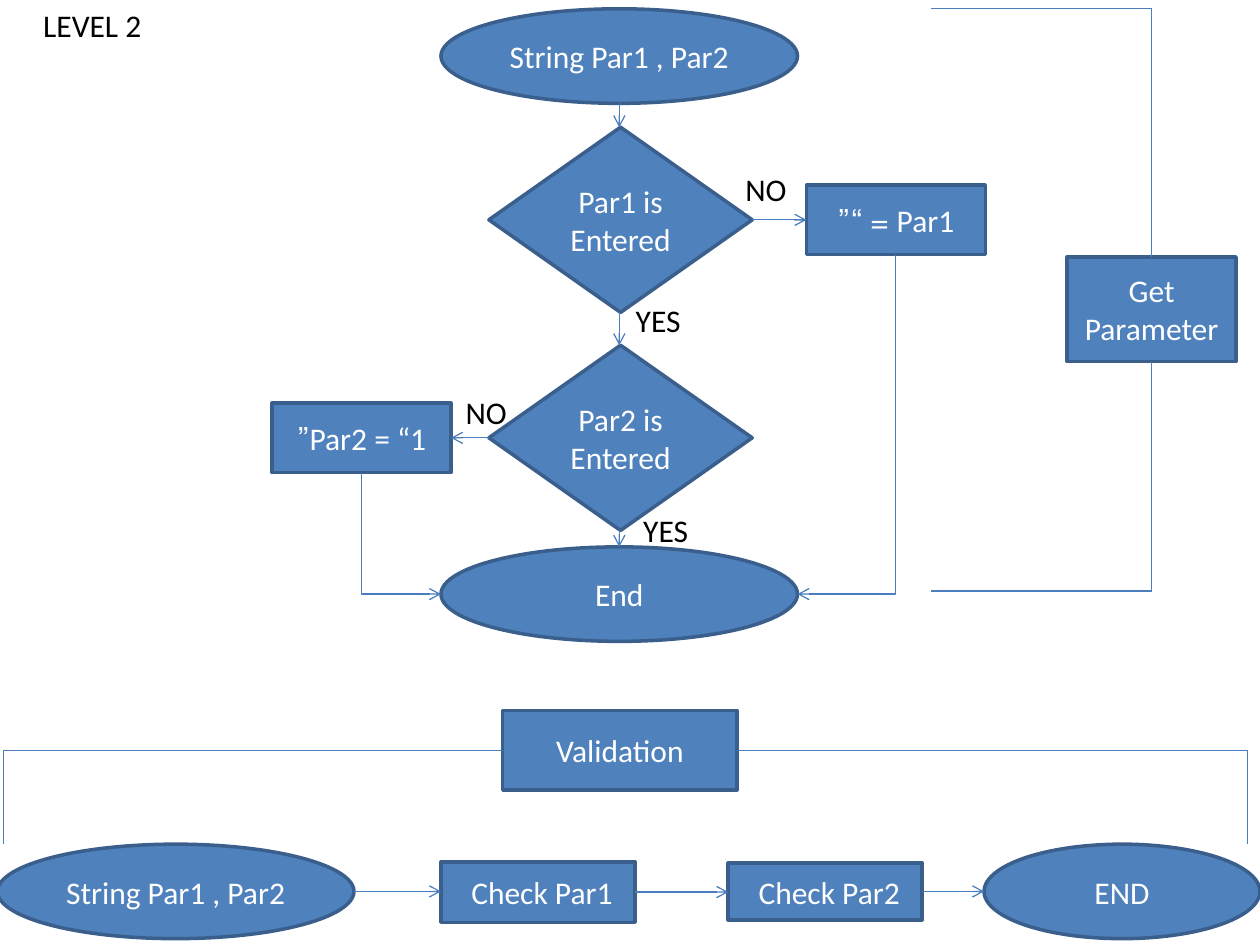
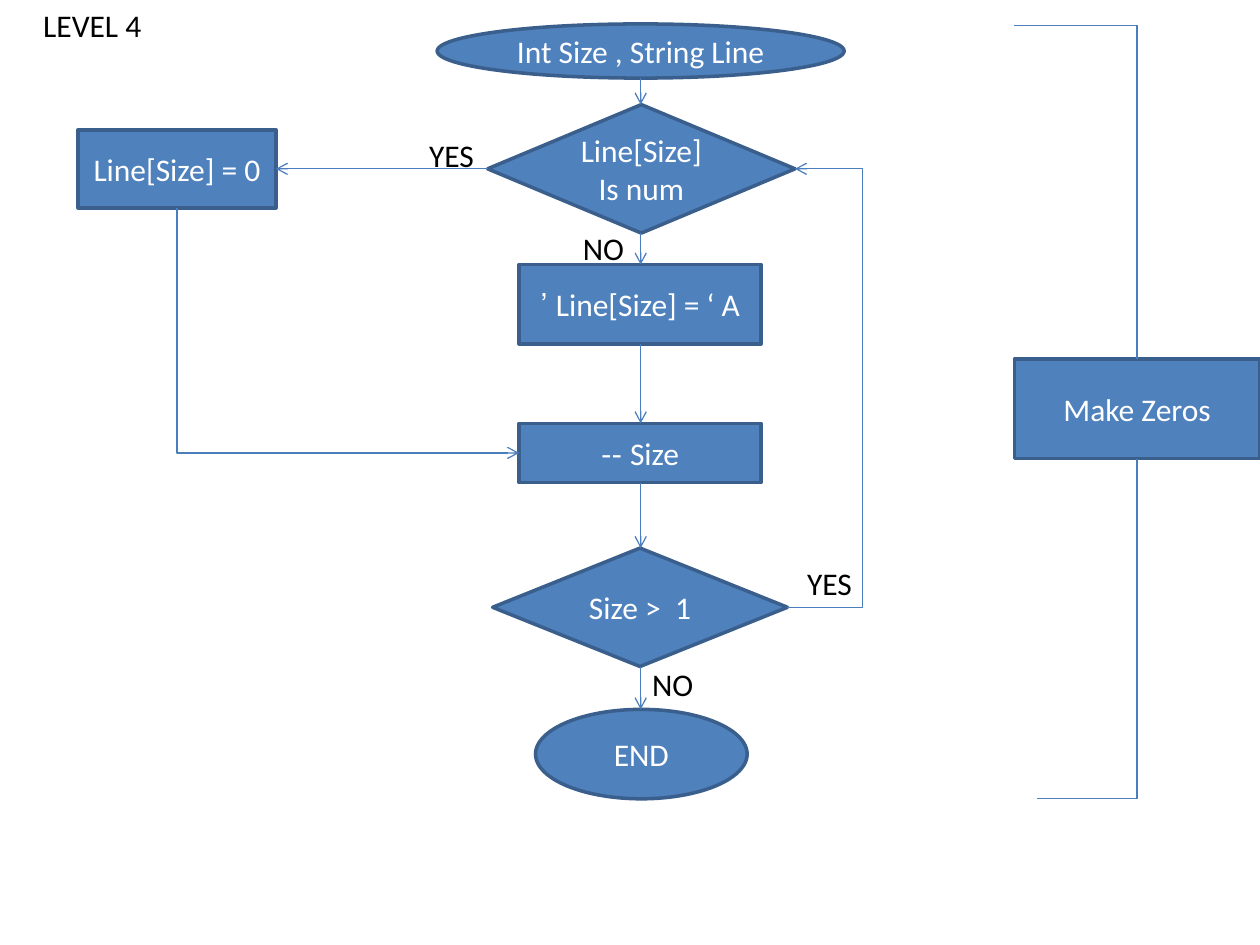
from dataclasses import dataclass

from lxml import etree
from pptx import Presentation
from pptx.dml.color import RGBColor
from pptx.enum import shapes, text
from pptx.oxml import ns
from pptx.util import Inches, Pt


@dataclass(frozen=True)
class Theme:
    fill: RGBColor = RGBColor(0x4F, 0x81, 0xBD)
    outline: RGBColor = RGBColor(0x3A, 0x5F, 0x8C)
    wire: RGBColor = RGBColor(0x4B, 0x7E, 0xBC)
    on_fill: RGBColor = RGBColor(0xFF, 0xFF, 0xFF)
    ink: RGBColor = RGBColor(0, 0, 0)
    font: str = "Calibri"
    size: Pt = Pt(18)
    outline_width: Pt = Pt(2)
    wire_width: Pt = Pt(0.75)


THEME = Theme()
PROCESS = shapes.MSO_SHAPE.RECTANGLE
DECISION = shapes.MSO_SHAPE.FLOWCHART_DECISION
TERMINAL = shapes.MSO_SHAPE.OVAL
STRAIGHT = shapes.MSO_CONNECTOR.STRAIGHT
ELBOW = shapes.MSO_CONNECTOR.ELBOW


# Text and nodes
def write(frame, words, color, align):
    """Put one right-to-left paragraph into a frame."""
    frame.word_wrap = True
    frame.text = words
    paragraph = frame.paragraphs[0]
    paragraph.alignment = align
    paragraph._p.get_or_add_pPr().set("rtl", "1")
    for run in paragraph.runs:
        run.font.name = THEME.font
        run.font.size = THEME.size
        run.font.color.rgb = color


def add_label(slide, words, left, top, width):
    label = slide.shapes.add_textbox(
        Inches(left), Inches(top), Inches(width), Inches(0.4))
    write(label.text_frame, words, THEME.ink, text.PP_ALIGN.RIGHT)
    label.text_frame.auto_size = text.MSO_AUTO_SIZE.SHAPE_TO_FIT_TEXT


def add_yes(slide, left, top):
    add_label(slide, "YES", left, top, 0.6)


def add_no(slide, left, top):
    add_label(slide, "NO", left, top, 0.55)


def add_node(slide, kind, words, left, top, width, height):
    node = slide.shapes.add_shape(
        kind, Inches(left), Inches(top), Inches(width), Inches(height))
    node.shadow.inherit = False
    node.fill.solid()
    node.fill.fore_color.rgb = THEME.fill
    node.line.color.rgb = THEME.outline
    node.line.width = THEME.outline_width
    node.text_frame.vertical_anchor = text.MSO_ANCHOR.MIDDLE
    write(node.text_frame, words, THEME.on_fill, text.PP_ALIGN.CENTER)
    return node


# Geometry of a node
def middle(node):
    return node.left + node.width // 2, node.top + node.height // 2


def right(node):
    return node.left + node.width


def bottom(node):
    return node.top + node.height


# Connectors
def add_wire(slide, kind, start, end, arrow=True):
    wire = slide.shapes.add_connector(kind, *map(int, (*start, *end)))
    wire.line.color.rgb = THEME.wire
    wire.line.width = THEME.wire_width
    properties = wire._element.spPr
    if arrow:
        outline = properties.find(ns.qn("a:ln"))
        etree.SubElement(outline, ns.qn("a:tailEnd"), type="arrow")
    etree.SubElement(properties, ns.qn("a:effectLst"))
    return wire


def flow_down(slide, *nodes):
    """Arrows between the nodes of one column."""
    x = middle(nodes[0])[0]
    for upper, lower in zip(nodes, nodes[1:]):
        add_wire(slide, STRAIGHT, (x, bottom(upper)), (x, lower.top))


def flow_across(slide, source, target):
    y = middle(source)[1]
    if target.left > source.left:
        ends = right(source), target.left
    else:
        ends = source.left, right(target)
    add_wire(slide, STRAIGHT, (ends[0], y), (ends[1], y))


def flow_corner(slide, source, target):
    """Arrow that leaves downwards and turns once into the target's side."""
    x1, y1 = middle(source)[0], bottom(source)
    y2 = middle(target)[1]
    rightwards = target.left > x1
    x2 = target.left if rightwards else right(target)
    # The preset runs across first, so it is turned about its centre.
    center_x, center_y = (x1 + x2) / 2, (y1 + y2) / 2
    half_run = (y2 - y1) / 2 * (-1 if rightwards else 1)
    half_rise = abs(x2 - x1) / 2
    wire = add_wire(slide, ELBOW,
                    (center_x - half_run, center_y - half_rise),
                    (center_x + half_run, center_y + half_rise))
    wire.rotation = 270 if rightwards else 90
    wire._element.spPr.find(ns.qn("a:prstGeom")).set("prst", "bentConnector2")


def flow_back(slide, source, target, lane):
    """Arrow that returns upwards through a lane right of both nodes."""
    start = right(source), middle(source)[1]
    end = right(target), middle(target)[1]
    wire = add_wire(slide, ELBOW, start, end)
    ratio = (Inches(lane) - start[0]) / (end[0] - start[0])
    guides = wire._element.spPr.find(ns.qn("a:prstGeom")).find(ns.qn("a:avLst"))
    etree.SubElement(guides, ns.qn("a:gd"), name="adj1",
                     fmla=f"val {round(ratio * 100000)}")


def add_bracket_arm(slide, *points):
    for start, end in zip(points, points[1:]):
        add_wire(slide, STRAIGHT, start, end, arrow=False)


def bracket_beside(slide, module, upper, lower):
    """Arms above and below a module; each is (tip x, y)."""
    x = middle(module)[0]
    for edge, (tip, y) in ((module.top, upper), (bottom(module), lower)):
        y = Inches(y)
        add_bracket_arm(slide, (x, edge), (x, y), (Inches(tip), y))


def bracket_over(slide, module, ends, foot):
    """Arms left and right of a module, dropping to the foot."""
    y = middle(module)[1]
    for edge, end in zip((module.left, right(module)), ends):
        x = Inches(end)
        add_bracket_arm(slide, (edge, y), (x, y), (x, Inches(foot)))


# Slides
def start_slide(deck, level):
    slide = deck.slides.add_slide(deck.slide_layouts[6])
    add_label(slide, f"LEVEL {level}", 0.03, 0, 1.19)
    return slide


def build_parameters(deck):
    slide = start_slide(deck, 2)

    # Get Parameter
    begin = add_node(slide, TERMINAL, "String Par1 , Par2", 3.5, 0.07, 2.83, 0.75)
    has_par1 = add_node(slide, DECISION, "Par1 is Entered ", 3.88, 1.01, 2.09, 1.47)
    has_par2 = add_node(slide, DECISION, "Par2 is Entered ", 3.88, 2.74, 2.09, 1.47)
    end = add_node(slide, TERMINAL, "End", 3.5, 4.34, 2.83, 0.75)
    default_par1 = add_node(slide, PROCESS, "Par1 = “”", 6.4, 1.47, 1.42, 0.55)
    default_par2 = add_node(slide, PROCESS, "Par2 = “1”", 2.16, 3.2, 1.42, 0.55)
    flow_down(slide, begin, has_par1, has_par2, end)
    for question, default in ((has_par1, default_par1), (has_par2, default_par2)):
        flow_across(slide, question, default)
        flow_corner(slide, default, end)
    add_no(slide, 5.79, 1.3)
    add_no(slide, 3.57, 3.07)
    add_yes(slide, 4.9, 2.34)
    add_yes(slide, 4.96, 4.01)
    get_parameter = add_node(slide, PROCESS, "Get Parameter", 8.47, 2.04, 1.34, 0.83)
    bracket_beside(slide, get_parameter, (7.39, 0.07), (7.39, 4.69))

    # Validation
    validation = add_node(slide, PROCESS, "Validation", 3.99, 5.64, 1.86, 0.63)
    bracket_over(slide, validation, (0.03, 9.9), 6.7)
    steps = [
        add_node(slide, TERMINAL, "String Par1 , Par2", -0.02, 6.7, 2.83, 0.75),
        add_node(slide, PROCESS, "Check Par1 ", 3.5, 6.84, 1.54, 0.48),
        add_node(slide, PROCESS, "Check Par2 ", 5.78, 6.85, 1.54, 0.45),
        add_node(slide, TERMINAL, "END", 7.81, 6.7, 2.19, 0.75),
    ]
    for step, following in zip(steps, steps[1:]):
        flow_across(slide, step, following)


def build_zeros(deck):
    slide = start_slide(deck, 4)

    # Loop over the line
    begin = add_node(slide, TERMINAL, "Int Size , String Line", 3.47, 0.19, 3.23, 0.43)
    is_number = add_node(slide, DECISION, "Line[Size] Is num", 3.87, 0.83, 2.44, 1.02)
    set_letter = add_node(slide, PROCESS, "Line[Size] = ‘ A ’", 4.12, 2.1, 1.92, 0.63)
    decrease = add_node(slide, PROCESS, "Size --", 4.12, 3.36, 1.92, 0.47)
    has_more = add_node(slide, DECISION, "Size >  1", 3.91, 4.35, 2.34, 0.94)
    end = add_node(slide, TERMINAL, "END", 4.25, 5.63, 1.68, 0.71)
    set_zero = add_node(slide, PROCESS, "Line[Size] = 0", 0.62, 1.03, 1.57, 0.62)
    flow_down(slide, begin, is_number, set_letter, decrease, has_more, end)
    flow_across(slide, is_number, set_zero)
    flow_corner(slide, set_zero, decrease)
    flow_back(slide, has_more, is_number, 6.85)
    add_yes(slide, 6.26, 4.43)
    add_yes(slide, 3.26, 1.03)
    add_no(slide, 5.05, 5.23)
    add_no(slide, 4.5, 1.77)

    # Make Zeros
    make_zeros = add_node(slide, PROCESS, "Make Zeros", 8.05, 2.85, 1.95, 0.79)
    bracket_beside(slide, make_zeros, (8.05, 0.2), (8.23, 6.34))


def main():
    deck = Presentation()
    deck.slide_width, deck.slide_height = Inches(10), Inches(7.5)
    build_parameters(deck)
    build_zeros(deck)
    deck.save("out.pptx")


main()
